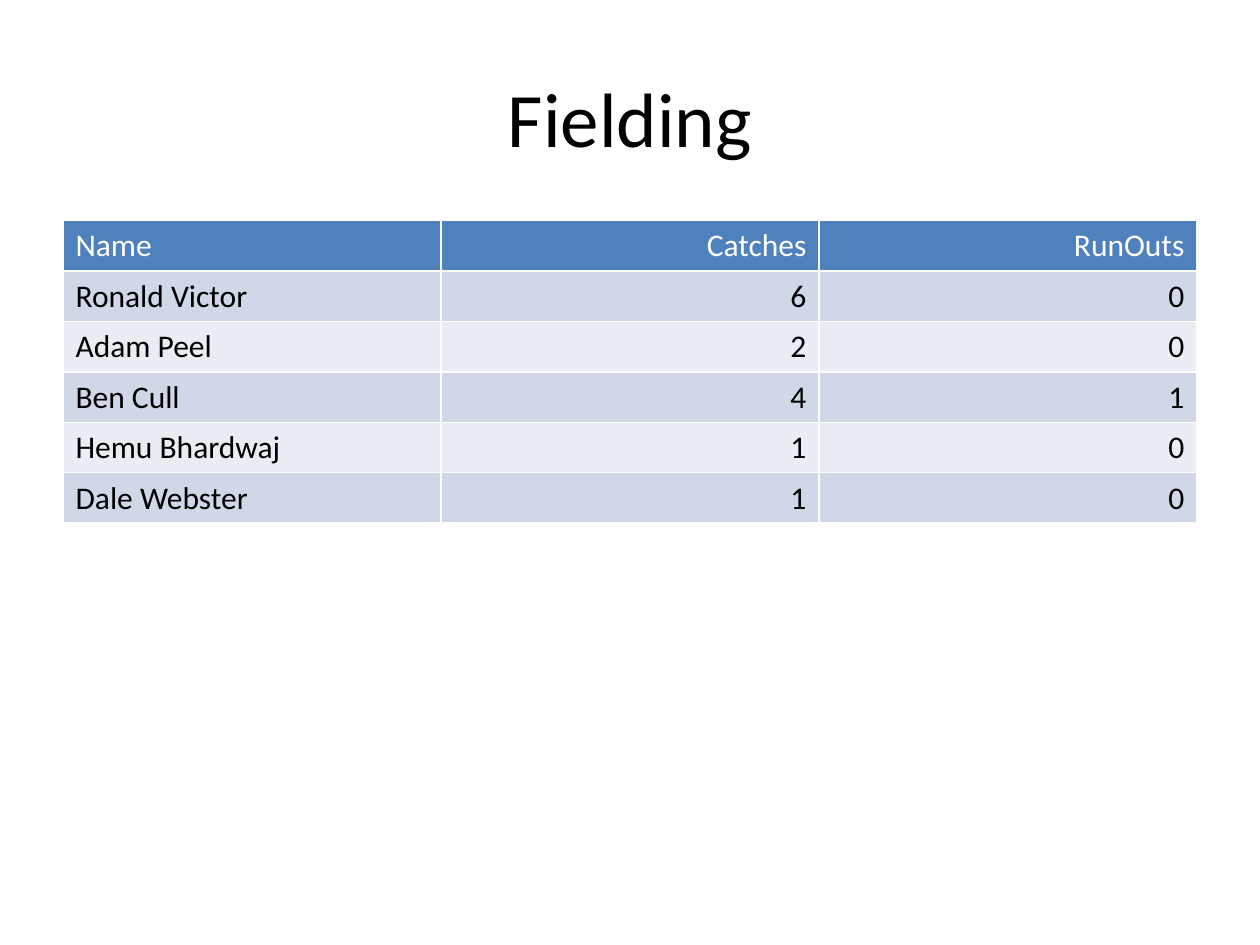
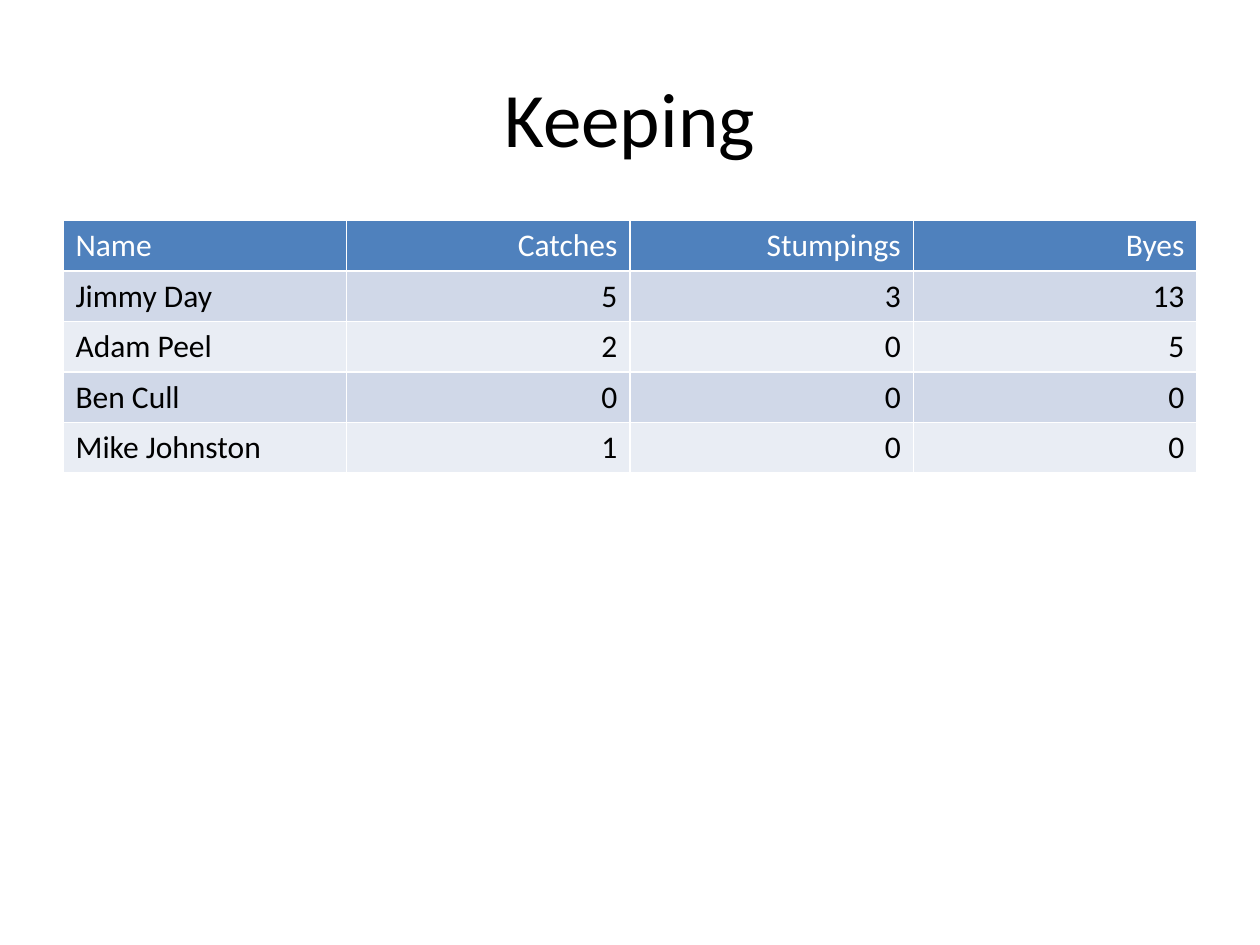
import pptx
import pptx.util
import pptx.dml.color
import pptx.enum.text
import pptx.oxml
import pptx.oxml.ns

Inches, Pt = pptx.util.Inches, pptx.util.Pt
RGBColor = pptx.dml.color.RGBColor
ALIGN = pptx.enum.text.PP_ALIGN

SLIDES = [
    ("Fielding", [
        ("Name", "Catches", "RunOuts"),
        ("Ronald Victor", 6, 0),
        ("Adam Peel", 2, 0),
        ("Ben Cull", 4, 1),
        ("Hemu Bhardwaj", 1, 0),
        ("Dale Webster", 1, 0),
    ]),
    ("Keeping", [
        ("Name", "Catches", "Stumpings", "Byes"),
        ("Jimmy Day", 5, 3, 13),
        ("Adam Peel", 2, 0, 5),
        ("Ben Cull", 0, 0, 0),
        ("Mike Johnston", 1, 0, 0),
    ]),
]

FONT = "Calibri"
BLACK = RGBColor(0x00, 0x00, 0x00)
WHITE = RGBColor(0xFF, 0xFF, 0xFF)
HEADER = RGBColor(0x4F, 0x81, 0xBD)
BANDS = [RGBColor(0xD0, 0xD8, 0xE8), RGBColor(0xE9, 0xED, 0xF4)]
LEFT, WIDTH = 0.5, 9
TITLE_TOP, TITLE_HEIGHT = 0.3, 1.25
TABLE_TOP, ROW_HEIGHT = 1.75, 0.4


def style(p, size, color, align):
    p.alignment = align
    p.font.name = FONT
    p.font.size = Pt(size)
    p.font.bold = False
    p.font.color.rgb = color


def add_title(s, text):
    tf = s.shapes.add_textbox(Inches(LEFT), Inches(TITLE_TOP),
                              Inches(WIDTH), Inches(TITLE_HEIGHT)).text_frame
    tf.word_wrap = True
    tf.vertical_anchor = pptx.enum.text.MSO_ANCHOR.MIDDLE
    tf.text = text
    style(tf.paragraphs[0], 44, BLACK, ALIGN.CENTER)


def add_borders(cell):
    tcPr = cell._tc.get_or_add_tcPr()
    for i, side in enumerate(("lnL", "lnR", "lnT", "lnB")):
        tcPr.insert(i, pptx.oxml.parse_xml(
            f'<a:{side} {pptx.oxml.ns.nsdecls("a")} w="{Pt(1)}">'
            f'<a:solidFill><a:srgbClr val="{WHITE}"/></a:solidFill></a:{side}>'))


def add_stats(s, rows):
    n = len(rows[0])
    table = s.shapes.add_table(len(rows), n, Inches(LEFT), Inches(TABLE_TOP),
                               Inches(WIDTH), Inches(ROW_HEIGHT * len(rows))).table
    for column in table.columns:
        column.width = Inches(WIDTH / n)
    for i, row in enumerate(rows):
        fill, color = (BANDS[(i - 1) % 2], BLACK) if i else (HEADER, WHITE)
        for j, value in enumerate(row):
            cell = table.cell(i, j)
            cell.text = str(value)
            cell.fill.solid()
            cell.fill.fore_color.rgb = fill
            add_borders(cell)
            style(cell.text_frame.paragraphs[0], 18, color,
                  ALIGN.RIGHT if j else ALIGN.LEFT)


prs = pptx.Presentation()
prs.slide_width, prs.slide_height = Inches(10), Inches(7.5)
for title, rows in SLIDES:
    s = prs.slides.add_slide(prs.slide_layouts[6])
    add_title(s, title)
    add_stats(s, rows)
prs.save("out.pptx")
